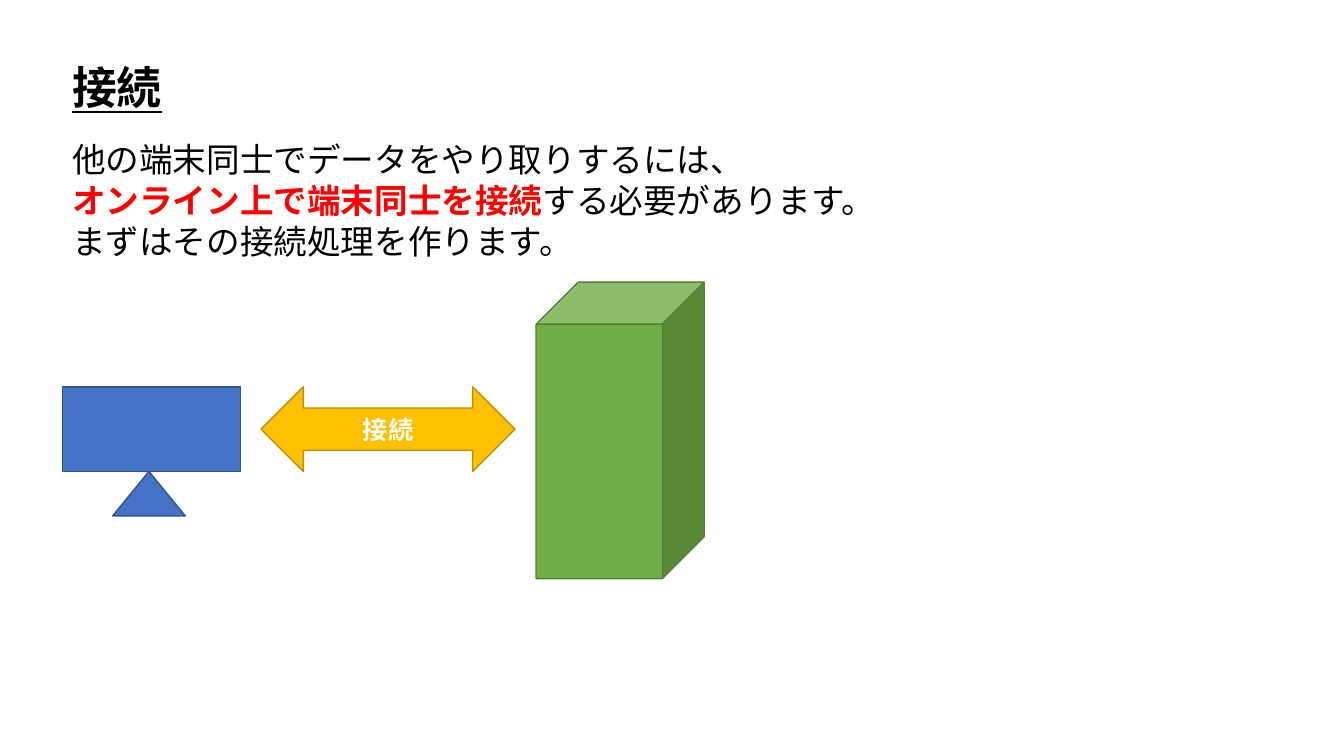
from lxml import etree
from pptx import Presentation
from pptx import util as u
from pptx.dml.color import RGBColor
from pptx.enum import shapes, text
from pptx.oxml import ns

BLACK, RED, WHITE = "000000", "FF0000", "FFFFFF"
BLUE, NAVY = "4472C4", "325491"
GREEN, DARK_GREEN = "70AD47", "538035"
GOLD, DARK_GOLD = "FFC000", "BD8E00"


def rgb(value):
    return RGBColor.from_string(value)


class SlideBuilder:
    font = "Noto Sans CJK JP"
    line_width = 1

    def __init__(self, slide):
        self.slide = slide

    def style(self, r, size, color=BLACK, bold=False, underline=False):
        r.font.size = u.Pt(size)
        r.font.bold = bold
        r.font.underline = underline
        r.font.color.rgb = rgb(color)
        r.font.name = self.font
        ea = etree.SubElement(r.font._element, ns.qn("a:ea"))
        ea.set("typeface", self.font)

    def textbox(self, box, size, lines, spacing, wrap=True, underline=False):
        tf = self.slide.shapes.add_textbox(*map(u.Cm, box)).text_frame
        tf.word_wrap = wrap
        for i, line in enumerate(lines):
            p = tf.add_paragraph() if i else tf.paragraphs[0]
            p.line_spacing = u.Pt(spacing)
            for words, color, bold in line:
                r = p.add_run()
                r.text = words
                self.style(r, size, color, bold, underline)

    def shape(self, kind, box, fill, line, label=None):
        sp = self.slide.shapes.add_shape(kind, *map(u.Cm, box))
        sp.shadow.inherit = False
        sp.fill.solid()
        sp.fill.fore_color.rgb = rgb(fill)
        sp.line.color.rgb = rgb(line)
        sp.line.width = u.Pt(self.line_width)
        if label:
            tf = sp.text_frame
            tf.text = label
            tf.vertical_anchor = text.MSO_ANCHOR.MIDDLE
            p = tf.paragraphs[0]
            p.alignment = text.PP_ALIGN.CENTER
            self.style(p.runs[0], 18, WHITE, bold=True)


def main():
    prs = Presentation()
    prs.slide_width, prs.slide_height = u.Cm(33.87), u.Cm(19.05)
    s = SlideBuilder(prs.slides.add_slide(prs.slide_layouts[6]))
    kind = shapes.MSO_SHAPE
    left, device_top, device_height = 1.57, 9.75, 2.13

    s.textbox((left, 1.37, 2.79, 1.63), 32, [[("接続", BLACK, True)]], 39,
              wrap=False, underline=True)
    s.textbox((left, 3.38, 21.03, 3.33), 24, [
        [("他の端末同士でデータをやり取りするには、", BLACK, False)],
        [("オンライン上で端末同士を接続", RED, True),
         ("する必要があります。", BLACK, False)],
        [("まずはその接続処理を作ります。", BLACK, False)],
    ], 29)

    s.shape(kind.ISOSCELES_TRIANGLE,
            (2.84, device_top + device_height, 1.83, 1.12), BLUE, NAVY)
    s.shape(kind.RECTANGLE, (left, device_top, 4.5, device_height), BLUE, NAVY)
    s.shape(kind.CUBE, (13.51, 7.11, 4.24, 7.47), GREEN, DARK_GREEN)
    s.shape(kind.LEFT_RIGHT_ARROW, (6.58, device_top, 6.4, device_height),
            GOLD, DARK_GOLD, "接続")
    prs.save("out.pptx")


if __name__ == "__main__":
    main()
